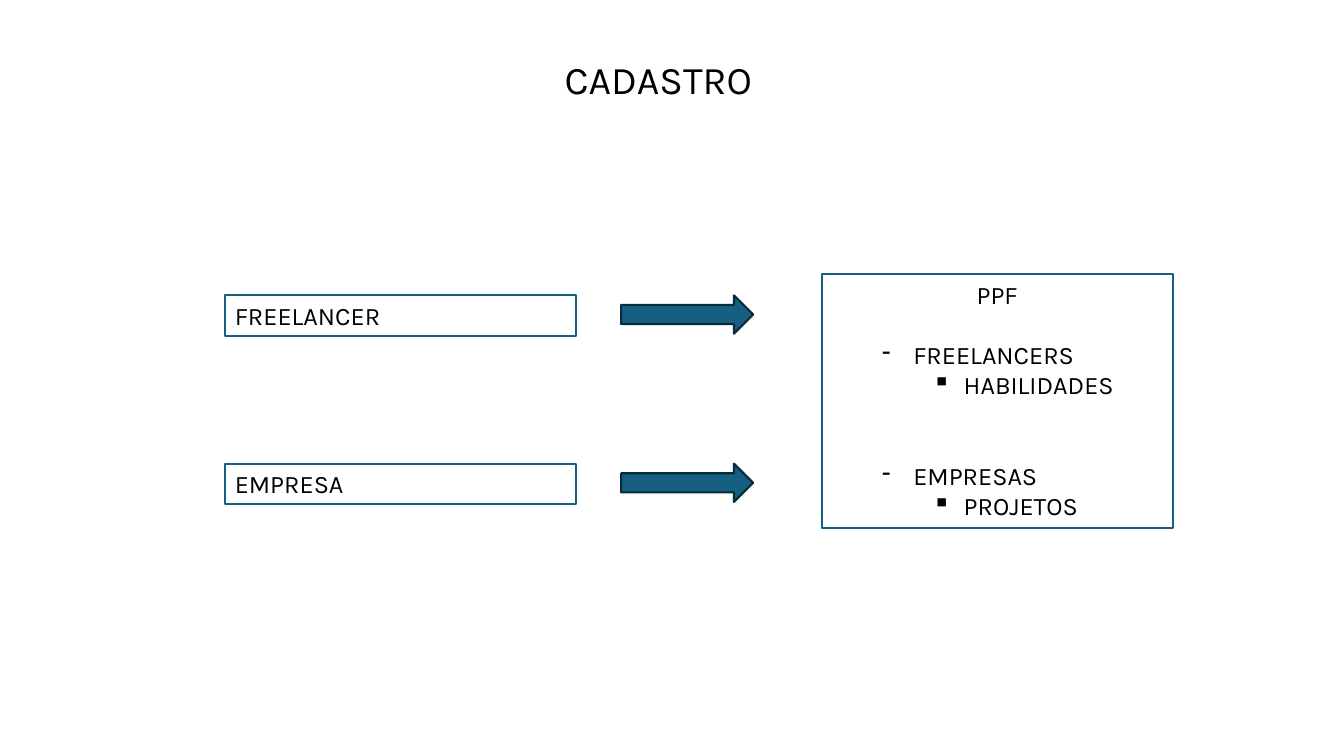
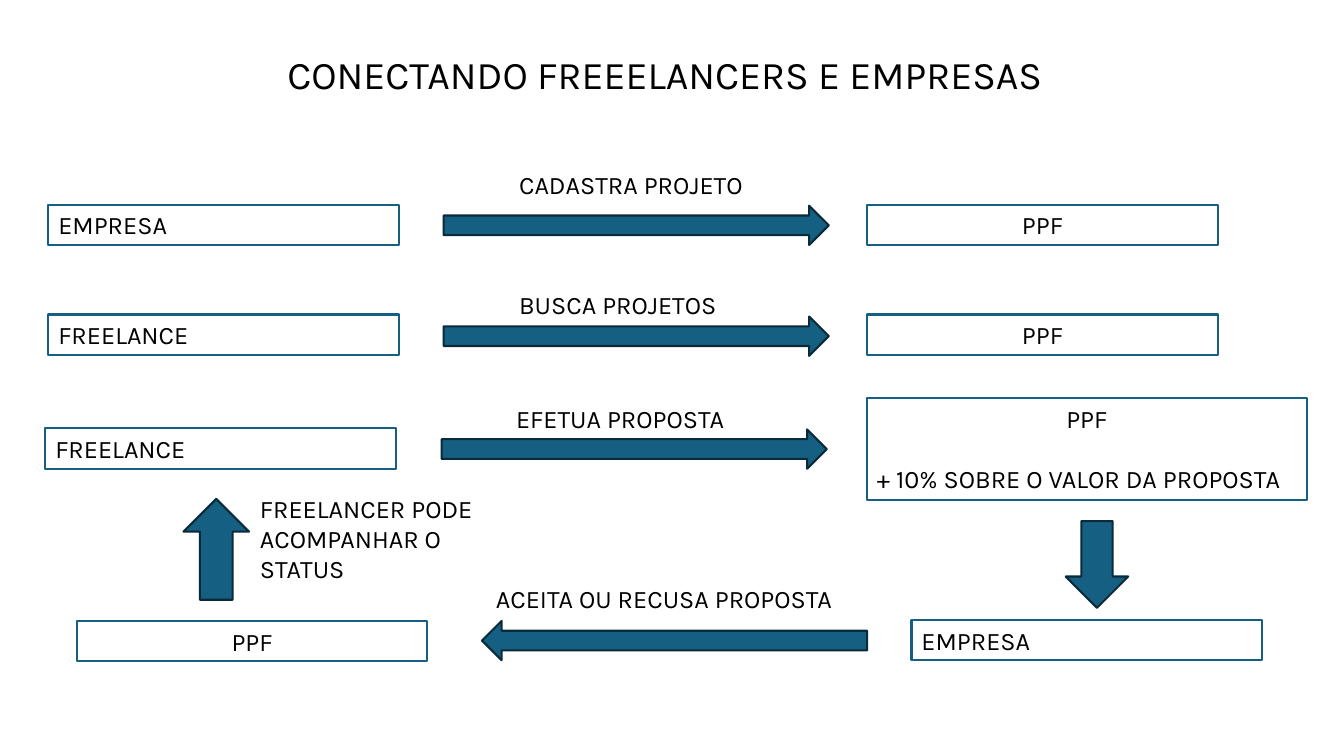
"""Build two slides showing registration and the freelancer-company proposal flow."""
from lxml import etree
from pptx import Presentation
from pptx.dml.color import RGBColor
from pptx.enum.shapes import MSO_SHAPE
from pptx.enum.text import MSO_ANCHOR, MSO_AUTO_SIZE, PP_ALIGN
from pptx.oxml.ns import qn
from pptx.util import Inches, Pt

COLORS = {"paper": "FFFFFF", "accent": "156082", "edge": "092A39", "text": "000000"}
FONT = "Karla"
LEFT, CENTER = PP_ALIGN.LEFT, PP_ALIGN.CENTER
RECTANGLE = MSO_SHAPE.RECTANGLE
RIGHT, BACK = MSO_SHAPE.RIGHT_ARROW, MSO_SHAPE.LEFT_ARROW
UP, DOWN = MSO_SHAPE.UP_ARROW, MSO_SHAPE.DOWN_ARROW
BOX_WIDTH, BOX_HEIGHT = 3.48, 0.4
ARROW_WIDTH, ARROW_HEIGHT = 3.82, 0.39
BLANK_LINE = 21.5


def write(frame, text, size=18, align=LEFT, before=0, level=0, bullet=None):
    """Add one formatted paragraph to a text frame."""
    frame.word_wrap = True
    frame.auto_size = MSO_AUTO_SIZE.NONE
    frame.vertical_anchor = MSO_ANCHOR.TOP
    para = frame.add_paragraph() if frame.text else frame.paragraphs[0]
    para.alignment = align
    para.level = level
    para.space_before = Pt(before)
    if bullet:
        properties = para._p.get_or_add_pPr()
        properties.set("marL", str(Inches(0.31 + level * 0.5)))
        properties.set("indent", str(-Inches(0.31)))
        etree.SubElement(properties, qn("a:buChar")).set("char", bullet)
    span = para.add_run()
    span.text = text
    span.font.name = FONT
    span.font.size = Pt(size)
    span.font.color.rgb = RGBColor.from_string(COLORS["text"])


def add_block(page, kind, left, top, width=BOX_WIDTH, height=BOX_HEIGHT):
    """Add an outlined box or a filled block arrow and return its text frame."""
    fill, line = ("paper", "accent") if kind == RECTANGLE else ("accent", "edge")
    shape = page.shapes.add_shape(kind, Inches(left), Inches(top), Inches(width), Inches(height))
    shape.shadow.inherit = False
    shape.fill.solid()
    shape.fill.fore_color.rgb = RGBColor.from_string(COLORS[fill])
    shape.line.color.rgb = RGBColor.from_string(COLORS[line])
    shape.line.width = Pt(1.5)
    return shape.text_frame


deck = Presentation()
deck.slide_width, deck.slide_height = Inches(13.33), Inches(7.5)

pages = []
for heading, left, top, width in [
    ("CADASTRO", 5.5, 0.5, 2.34),
    ("CONECTANDO FREEELANCERS E EMPRESAS", 2.75, 0.45, 7.84),
]:
    page = deck.slides.add_slide(deck.slide_layouts[5])
    title = page.shapes.title
    title.left, title.top = Inches(left), Inches(top)
    title.width, title.height = Inches(width), Inches(0.57)
    write(title.text_frame, heading, size=28)
    pages.append(page)
registration, connection = pages

for source, top in [("FREELANCER", 2.93), ("EMPRESA", 4.6)]:
    write(add_block(registration, RECTANGLE, 2.23, top), source)
    add_block(registration, RIGHT, 6.16, top, 1.31, 0.38)

platform = add_block(registration, RECTANGLE, 8.15, 2.72, height=2.52)
write(platform, "PPF", align=CENTER)
for group, detail, blanks in [("FREELANCERS", "HABILIDADES", 1), ("EMPRESAS", "PROJETOS", 2)]:
    write(platform, group, before=blanks * BLANK_LINE, level=1, bullet="-")
    write(platform, detail, level=2, bullet="▪")

for text, left, top, align in [
    ("EMPRESA", 0.48, 2.03, LEFT),
    ("PPF", 8.6, 2.03, CENTER),
    ("FREELANCE", 0.48, 3.12, LEFT),
    ("PPF", 8.6, 3.12, CENTER),
    ("FREELANCE", 0.45, 4.25, LEFT),
    ("EMPRESA", 9.04, 6.15, LEFT),
    ("PPF", 0.76, 6.16, CENTER),
]:
    write(add_block(connection, RECTANGLE, left, top), text, align=align)

proposal = add_block(connection, RECTANGLE, 8.6, 3.95, 4.36, 1.01)
write(proposal, "PPF", align=CENTER)
write(proposal, "+ 10% SOBRE O VALOR DA PROPOSTA", before=BLANK_LINE)

for kind, left, top, width, height in [
    (RIGHT, 4.4, 2.04, ARROW_WIDTH, ARROW_HEIGHT),
    (RIGHT, 4.4, 3.14, ARROW_WIDTH, ARROW_HEIGHT),
    (RIGHT, 4.38, 4.26, ARROW_WIDTH, ARROW_HEIGHT),
    (DOWN, 10.57, 5.17, 0.62, 0.86),
    (BACK, 4.78, 6.16, ARROW_WIDTH, ARROW_HEIGHT),
    (UP, 1.82, 4.95, 0.65, 1),
]:
    add_block(connection, kind, left, top, width, height)

for text, left, top, width, height in [
    ("CADASTRA PROJETO", 5.05, 1.63, 2.53, 0.4),
    ("BUSCA PROJETOS", 5.05, 2.82, 2.53, 0.4),
    ("EFETUA PROPOSTA", 5.02, 3.95, 2.53, 0.4),
    ("ACEITA OU RECUSA PROPOSTA", 4.82, 5.74, 3.79, 0.4),
    ("FREELANCER PODE ACOMPANHAR O STATUS", 2.48, 4.84, 2.5, 1.01),
]:
    label = connection.shapes.add_textbox(Inches(left), Inches(top), Inches(width), Inches(height))
    write(label.text_frame, text)

deck.save("out.pptx")
